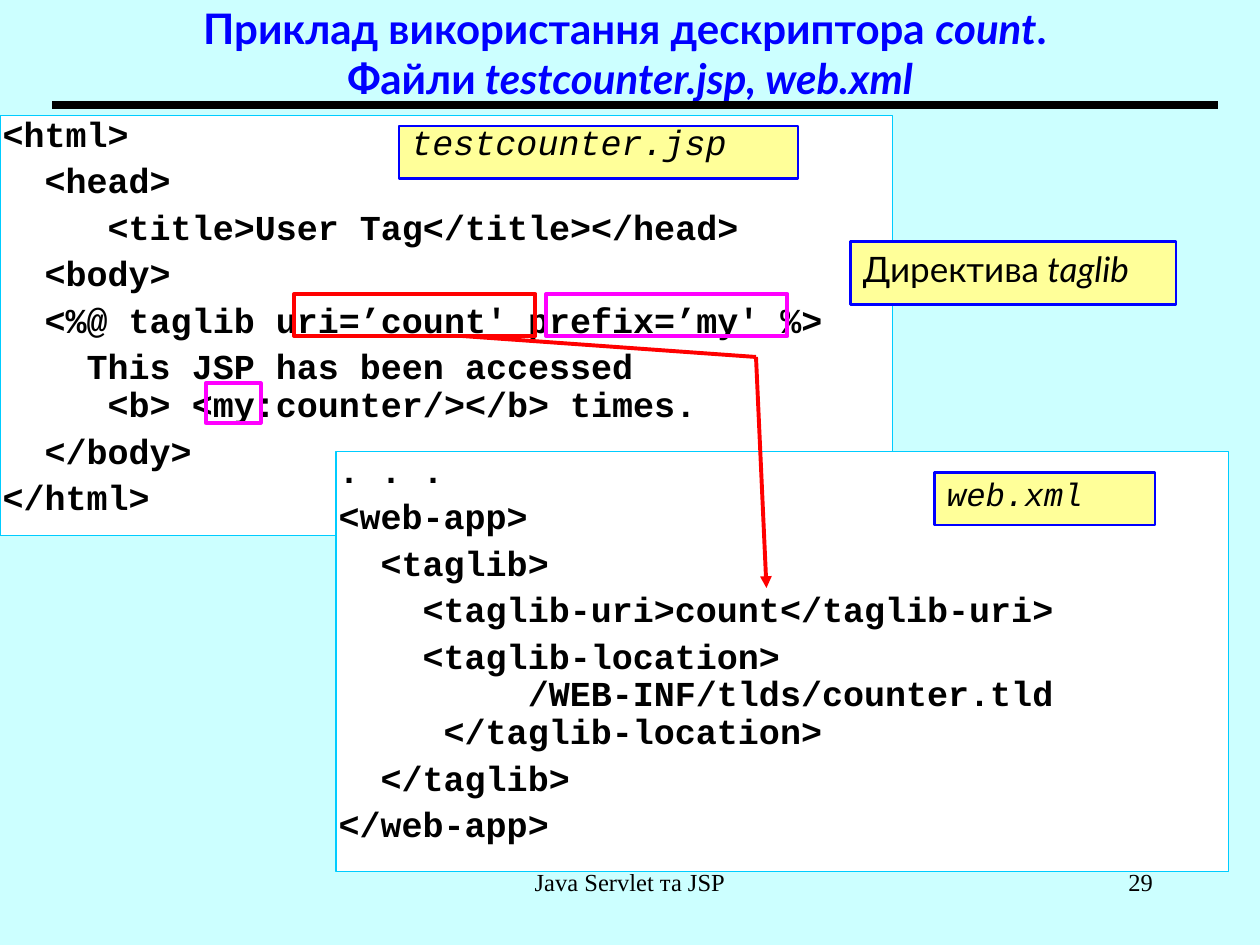
from pptx import Presentation
from pptx import util as u
from pptx.dml.color import RGBColor
from pptx.enum import shapes, text
from pptx.oxml import parse_xml
from pptx.oxml.ns import nsdecls

Pt = u.Pt
MONO, SANS, SERIF = "Courier New", "Lato", "Times New Roman"
LEFT, CENTER, RIGHT = text.PP_ALIGN.LEFT, text.PP_ALIGN.CENTER, text.PP_ALIGN.RIGHT
JSP = [
    "<html>",
    "  <head>",
    "     <title>User Tag</title></head>",
    "  <body>",
    "  <%@ taglib uri=’count' prefix=’my' %>",
    "    This JSP has been accessed \n     <b> <my:counter/></b> times.",
    "  </body>",
    "</html>",
]
WEB_XML = [
    ". . .",
    "<web-app>",
    "  <taglib>",
    "    <taglib-uri>count</taglib-uri>",
    "    <taglib-location>\n         /WEB-INF/tlds/counter.tld\n     </taglib-location>",
    "  </taglib>",
    "</web-app>",
]


def rgb(value):
    """Turn a hex string into a colour."""
    return RGBColor.from_string(value)


def assign(obj, **values):
    """Set attributes from format values."""
    for name, value in values.items():
        setattr(obj, name, value)


def add_runs(p, runs, color, **font):
    """Add (text, italic) runs, breaking lines at newlines."""
    for words, italic in runs:
        for i, line in enumerate(words.split("\n")):
            if i:
                p.add_line_break()
            if line:
                r = p.add_run()
                r.text = line
                assign(r.font, italic=italic, **font)
                r.font.color.rgb = rgb(color)


def frame(tf, insets, anchor=text.MSO_ANCHOR.TOP):
    """Format a text frame with insets in points."""
    left, top, right, bottom = map(Pt, insets)
    assign(tf, margin_left=left, margin_top=top, margin_right=right, margin_bottom=bottom,
           word_wrap=True, auto_size=text.MSO_AUTO_SIZE.NONE, vertical_anchor=anchor)


def add_box(s, box, line, width, fill=None):
    """Draw a rectangle, unfilled by default."""
    sp = s.shapes.add_shape(shapes.MSO_SHAPE.RECTANGLE, *map(Pt, box))
    sp.shadow.inherit = False
    if fill:
        sp.fill.solid()
        sp.fill.fore_color.rgb = rgb(fill)
    else:
        sp.fill.background()
    sp.line.color.rgb = rgb(line)
    sp.line.width = Pt(width)
    return sp


def add_line(s, start, end, color, width, arrow=False):
    """Draw a straight line, with an optional arrowhead at its end."""
    c = s.shapes.add_connector(shapes.MSO_CONNECTOR.STRAIGHT, *map(Pt, start + end))
    c.line.color.rgb = rgb(color)
    c.line.width = Pt(width)
    if arrow:
        c.line._get_or_add_ln().append(parse_xml(f'<a:tailEnd {nsdecls("a")} type="triangle"/>'))
    c._element.spPr.append(parse_xml(f'<a:effectLst {nsdecls("a")}/>'))


def add_title(s, box):
    """Place the title and the rule beneath it."""
    sp = s.shapes.title
    left, top, width, height = box
    assign(sp, left=Pt(left), top=Pt(top), width=Pt(width), height=Pt(height))
    frame(sp.text_frame, (7.2, 3.6, 7.2, 3.6), text.MSO_ANCHOR.MIDDLE)
    p = sp.text_frame.paragraphs[0]
    p.alignment = CENTER
    runs = [("Приклад використання дескриптора ", False), ("count", True),
            (". \nФайли", False), (" testcounter.jsp, web.xml", True)]
    add_runs(p, runs, "0000FF", name=SANS, size=Pt(24), bold=True)
    bottom = top + height
    add_line(s, (left + 30, bottom), (left + width - 24, bottom), "000000", 4.5)


def add_code(s, box, lines):
    """Place a white panel of code."""
    tf = add_box(s, box, "00CCFF", 1, "FFFFFF").text_frame
    frame(tf, (1.5, 0.75, 0, 0.75))
    for i, line in enumerate(lines):
        p = tf.add_paragraph() if i else tf.paragraphs[0]
        assign(p, alignment=LEFT, line_spacing=0.9, space_before=Pt(5 if i else 0))
        add_runs(p, [(line, False)], "000000", name=MONO, size=Pt(20), bold=True)


def add_label(s, box, runs, font, size, spacing):
    """Place a yellow label."""
    tf = add_box(s, box, "0000FF", 1.5, "FFFF99").text_frame
    frame(tf, (7.2, 3.6, 7.2, 3.6))
    p = tf.paragraphs[0]
    assign(p, alignment=LEFT, line_spacing=spacing)
    add_runs(p, runs, "000000", name=font, size=Pt(size))


def add_highlights(s, left, top):
    """Frame the taglib attributes and the tag prefix."""
    for dx, dy, width, height, color in [(144, 0, 138, 24, "FF00FF"), (0, 0, 138, 24, "FF0000"),
                                         (-50.5, 51, 31.5, 22.5, "FF00FF")]:
        add_box(s, (left + dx, top + dy, width, height), color, 2.25)


def add_footer(s, box, words, align):
    """Place a footer text."""
    tf = s.shapes.add_textbox(*map(Pt, box)).text_frame
    frame(tf, (7.2, 3.6, 7.2, 3.6))
    p = tf.paragraphs[0]
    p.alignment = align
    add_runs(p, [(words, False)], "000000", name=SERIF, size=Pt(14))


def main():
    """Build and save the slide."""
    prs = Presentation()
    assign(prs, slide_width=Pt(720), slide_height=Pt(540))
    s = prs.slides.add_slide(prs.slide_layouts[5])
    s.background.fill.solid()
    s.background.fill.fore_color.rgb = rgb("CCFFFF")
    add_title(s, (0, 0, 720, 60))
    add_code(s, (0, 66, 510, 240), JSP)
    add_code(s, (192, 258, 510, 240), WEB_XML)
    add_label(s, (228, 72, 228, 30), [("testcounter.jsp", True)], MONO, 20, 0.7)
    add_label(s, (534, 270, 126, 30), [("web.xml", True)], MONO, 18.5, 0.9)
    add_line(s, (432, 204), (438, 336), "FF0000", 2.25, arrow=True)
    add_line(s, (264, 192), (432, 204), "FF0000", 2.25)
    add_label(s, (486, 138, 186, 36), [("Директива", False), (" taglib", True)], SANS, 20, 1.0)
    add_highlights(s, 168, 168)
    add_footer(s, (246, 492, 228, 36), "Java Servlet та JSP", CENTER)
    add_footer(s, (516, 492, 150, 36), "29", RIGHT)
    prs.save("out.pptx")


if __name__ == "__main__":
    main()
